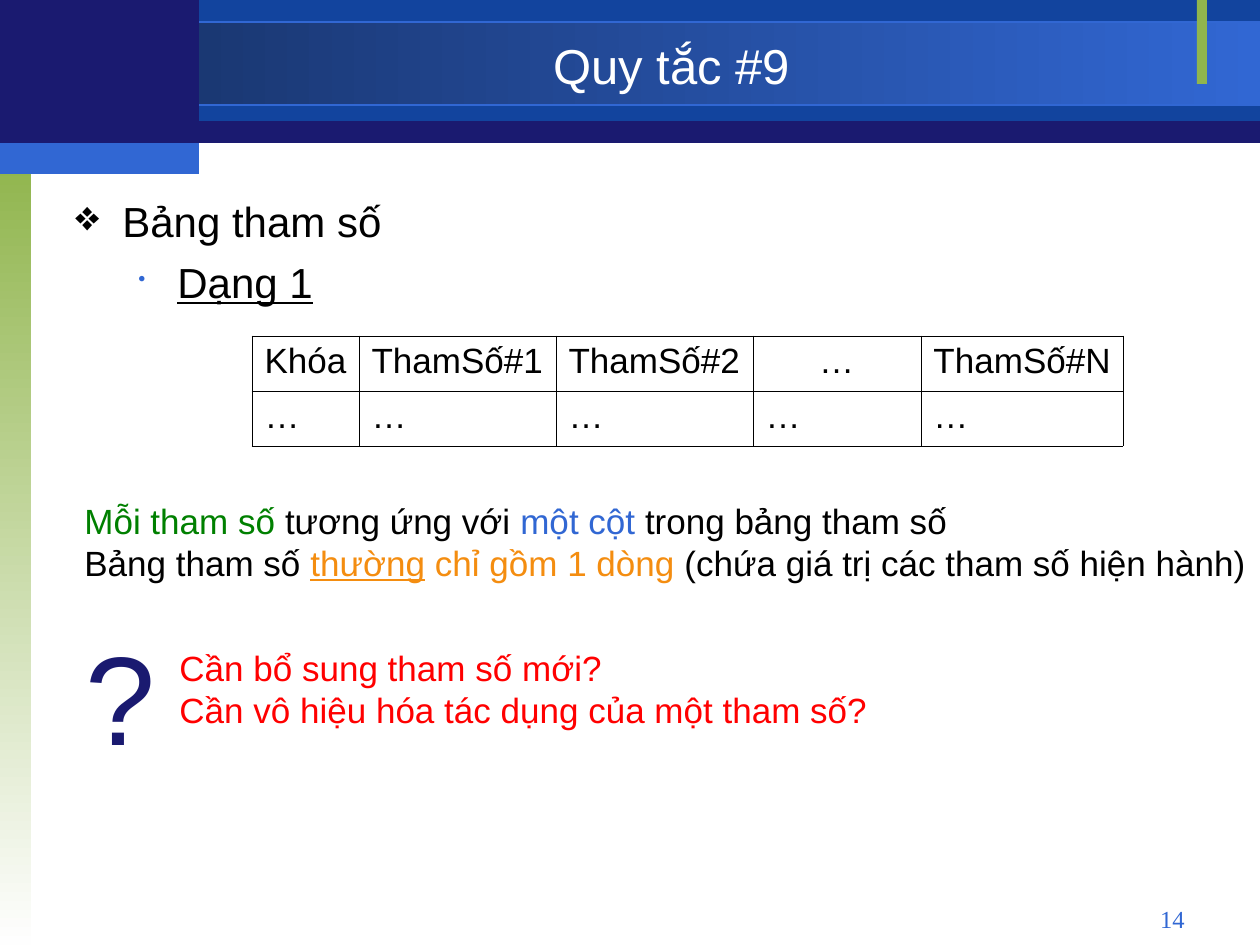
from lxml import etree
from pptx import Presentation
from pptx import util as u
from pptx.dml.color import RGBColor
from pptx.enum import shapes, text
from pptx.oxml import ns

PX = u.Inches(1) / 126
NAVY = RGBColor(0x1A, 0x1A, 0x70)
DEEP_BLUE = RGBColor(0x12, 0x44, 0x9E)
BLUE = RGBColor(0x31, 0x67, 0xD3)
DARK_BLUE = RGBColor(0x16, 0x2F, 0x61)
LIME = RGBColor(0x90, 0xB5, 0x4D)
GREEN = RGBColor(0x00, 0x80, 0x00)
ORANGE = RGBColor(0xF4, 0x8D, 0x10)
RED = RGBColor(0xFF, 0x00, 0x00)
BLACK = RGBColor(0x00, 0x00, 0x00)
WHITE = RGBColor(0xFF, 0xFF, 0xFF)
OFF_WHITE = RGBColor(0xFE, 0xFE, 0xFE)

COLUMN_WIDTHS = [107, 197, 197, 168, 202]
ROW_HEIGHT = 55
TABLE_ROWS = [
    ["Khóa", "ThamSố#1", "ThamSố#2", "…", "ThamSố#N"],
    ["…"] * 5,
]


def px(value):
    return u.Emu(round(value * PX))


def box(*lengths):
    return [px(length) for length in lengths]


def add_element(parent, tag, **attributes):
    return etree.SubElement(parent, ns.qn(tag), attributes)


def fill_gradient(fill, colors, angle):
    fill.gradient()
    fill.gradient_angle = angle
    for stop, color, position in zip(fill.gradient_stops, colors, (0, 1)):
        stop.color.rgb = color
        stop.position = position


def add_rectangle(slide, bounds, *colors, angle=0, line=None):
    shape = slide.shapes.add_shape(shapes.MSO_SHAPE.RECTANGLE, *box(*bounds))
    shape.shadow.inherit = False
    if len(colors) > 1:
        fill_gradient(shape.fill, colors, angle)
    else:
        shape.fill.solid()
        shape.fill.fore_color.rgb = colors[0]
    if line is None:
        shape.line.fill.background()
    else:
        shape.line.color.rgb = line
        shape.line.width = u.Pt(0.75)


def write_text(frame, paragraphs, size=20, color=BLACK, font="Arial",
               align=text.PP_ALIGN.LEFT, before=0):
    for index, runs in enumerate(paragraphs):
        paragraph = frame.add_paragraph() if index else frame.paragraphs[0]
        paragraph.alignment = align
        paragraph.space_before = u.Pt(before)
        for content, run_color, underline in runs:
            run = paragraph.add_run()
            run.text = content
            run.font.size = u.Pt(size)
            run.font.name = font
            run.font.color.rgb = run_color or color
            run.font.underline = underline


def plain(content):
    return [(content, None, False)]


def add_text(slide, bounds, paragraphs, wrap=True,
             anchor=text.MSO_ANCHOR.TOP, **text_format):
    frame = slide.shapes.add_textbox(*box(*bounds)).text_frame
    frame.word_wrap = wrap
    frame.vertical_anchor = anchor
    if not wrap:
        frame.auto_size = text.MSO_AUTO_SIZE.SHAPE_TO_FIT_TEXT
    write_text(frame, paragraphs, **text_format)
    return frame


def add_bullet(paragraph, symbol, color, margin, indent, percent=100):
    properties = paragraph._p.get_or_add_pPr()
    properties.set("marL", str(px(margin)))
    properties.set("indent", str(px(-indent)))
    bullet_color = add_element(properties, "a:buClr")
    add_element(bullet_color, "a:srgbClr", val=str(color))
    add_element(properties, "a:buSzPct", val=str(percent * 1000))
    add_element(properties, "a:buChar", char=symbol)


def add_cell_borders(cell):
    properties = cell._tc.get_or_add_tcPr()
    for side in ("a:lnL", "a:lnR", "a:lnT", "a:lnB"):
        line = add_element(properties, side, w=str(u.Pt(0.45)))
        fill = add_element(line, "a:solidFill")
        add_element(fill, "a:srgbClr", val=str(BLACK))


def add_parameter_table(slide):
    bounds = box(252, 336, sum(COLUMN_WIDTHS), ROW_HEIGHT * len(TABLE_ROWS))
    table = slide.shapes.add_table(
        len(TABLE_ROWS), len(COLUMN_WIDTHS), *bounds).table
    table.first_row = table.horz_banding = False
    for column, width in zip(table.columns, COLUMN_WIDTHS):
        column.width = px(width)
    for row_index, values in enumerate(TABLE_ROWS):
        table.rows[row_index].height = px(ROW_HEIGHT)
        for column_index, value in enumerate(values):
            cell = table.cell(row_index, column_index)
            add_cell_borders(cell)
            cell.fill.background()
            centered = (row_index, column_index) == (0, 3)
            align = text.PP_ALIGN.CENTER if centered else text.PP_ALIGN.LEFT
            cell.margin_right = px(13 if centered else 4)
            write_text(cell.text_frame, [plain(value)], align=align, before=5)


def add_frame(slide):
    fill_gradient(slide.background.fill, (WHITE, OFF_WHITE), 270)
    add_rectangle(slide, (0, 1, 1260, 142), NAVY)
    add_rectangle(slide, (199, 0, 1061, 121), DEEP_BLUE)
    add_rectangle(slide, (0, 22, 1260, 83), BLUE, DARK_BLUE,
                  angle=180, line=BLUE)
    add_rectangle(slide, (0, 158, 31, 787), LIME, OFF_WHITE, angle=270)
    add_rectangle(slide, (1197, 0, 10, 84), LIME)
    add_rectangle(slide, (0, 0, 199, 147), NAVY)
    add_rectangle(slide, (0, 143, 199, 31), BLUE)


def add_headings(slide):
    add_text(slide, (199, 28, 945, 73), [plain("Quy tắc #9")], size=28,
             color=WHITE, align=text.PP_ALIGN.CENTER,
             anchor=text.MSO_ANCHOR.MIDDLE)
    body = add_text(slide, (63, 189, 1134, 136),
                    [plain("Bảng tham số"), [("Dạng 1", None, True)]],
                    size=24, before=6)
    topic, form = body.paragraphs
    form.level = 1
    add_bullet(topic, "❖", BLACK, 47, 47)
    add_bullet(form, "•", BLUE, 102, 39, percent=50)


def add_explanation(slide):
    add_text(slide, (72, 493, 1187, 97), [
        [("Mỗi tham số", GREEN, False), (" tương ứng với ", None, False),
         ("một cột", BLUE, False), (" trong bảng tham số", None, False)],
        [("Bảng tham số ", None, False), ("thường", ORANGE, True),
         (" chỉ gồm 1 dòng", ORANGE, False),
         (" (chứa giá trị các tham số hiện hành)", None, False)],
    ], wrap=False)


def add_questions(slide):
    add_text(slide, (73, 613, 95, 164), [plain("?")], wrap=False,
             size=72, color=NAVY)
    add_text(slide, (167, 640, 713, 97), [
        plain("Cần bổ sung tham số mới?"),
        plain("Cần vô hiệu hóa tác dụng của một tham số?"),
    ], wrap=False, color=RED)


def main():
    presentation = Presentation()
    presentation.slide_width, presentation.slide_height = box(1260, 945)
    slide = presentation.slides.add_slide(presentation.slide_layouts[6])
    add_frame(slide)
    add_headings(slide)
    add_parameter_table(slide)
    add_explanation(slide)
    add_questions(slide)
    add_text(slide, (903, 898, 294, 34), [plain("14")], size=14, color=BLUE,
             font="Times New Roman", align=text.PP_ALIGN.RIGHT)
    presentation.save("out.pptx")


if __name__ == "__main__":
    main()
